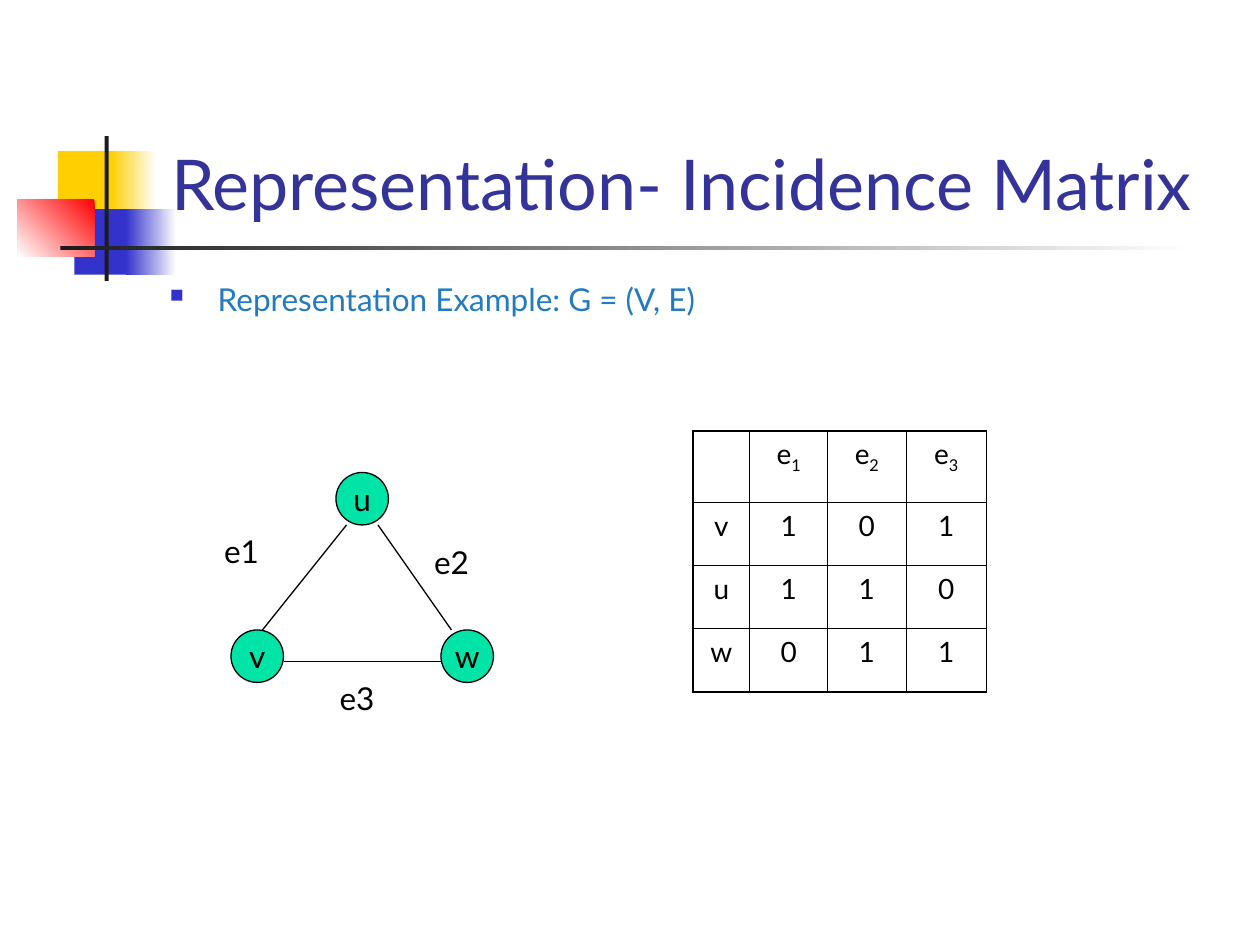
from dataclasses import dataclass

from lxml.etree import SubElement
from pptx import Presentation
from pptx.dml.color import RGBColor
from pptx.enum.shapes import MSO_CONNECTOR as Link, MSO_SHAPE as Shape
from pptx.enum.text import MSO_ANCHOR as Anchor, PP_ALIGN as Align
from pptx.oxml.ns import qn
from pptx.util import Emu, Inches, Pt


@dataclass(frozen=True)
class Theme:
    font: str = "Lato"
    white: str = "FFFFFF"
    black: str = "000000"
    yellow: str = "FFCF01"
    blue: str = "3333CC"
    red: str = "FF0000"
    bar: str = "1C1C1C"
    title: str = "333399"
    body: str = "237AC1"
    node: str = "00E4A8"
    title_size: float = 40
    text_size: float = 18
    cell_size: float = 16
    line: float = 0.75
    inner: float = 0.45
    outer: float = 1.08


theme = Theme()
color = RGBColor.from_string
deck = Presentation()
deck.slide_width, deck.slide_height = Inches(10), Inches(7.5)
page = deck.slides.add_slide(deck.slide_layouts[6])
unit = deck.slide_width / 120


def grid(*counts):
    return [Emu(round(count * unit)) for count in counts]


def write(para, text, size, tint, align=Align.LEFT):
    para.alignment = align
    span = para.add_run()
    span.text = text
    for name, value in {"name": theme.font, "size": Pt(size)}.items():
        setattr(span.font, name, value)
    span.font.color.rgb = color(tint)
    return span


ornaments = [
    ((5.52, 14.4, 5.76, 6.24), theme.yellow, None),
    ((10.56, 14.4, 4.32, 6.24), theme.yellow, 0),
    ((7.08, 19.92, 5.52, 6.24), theme.blue, None),
    ((12, 19.92, 4.8, 6.24), theme.blue, 0),
    ((1.68, 18.96, 7.32, 5.52), theme.red, 225),
    ((9.96, 12.96, 0.4, 13.8), theme.bar, None),
    ((5.76, 23.4, 108, 0.4), theme.bar, 0),
]
for area, tint, angle in ornaments:
    block = page.shapes.add_shape(Shape.RECTANGLE, *grid(*area))
    block.shadow.inherit = False
    block.line.fill.background()
    if angle is None:
        block.fill.solid()
        block.fill.fore_color.rgb = color(tint)
    else:
        block.fill.gradient()
        block.fill.gradient_angle = angle
        for stop, shade in zip(block.fill.gradient_stops, (tint, theme.white)):
            stop.color.rgb = color(shade)

texts = [
    ((15.12, 2.76, 102.24, 19.2), "Representation- Incidence Matrix",
     theme.title_size, theme.title, Anchor.BOTTOM),
    ((15, 26.04, 76.44, 8.04), "Representation Example: G = (V, E)",
     theme.text_size, theme.body, Anchor.TOP),
]
for area, text, size, tint, anchor in texts:
    box = page.shapes.add_textbox(*grid(*area))
    for name, value in {"word_wrap": True, "vertical_anchor": anchor}.items():
        setattr(box.text_frame, name, value)
    para = box.text_frame.paragraphs[0]
    if anchor == Anchor.TOP:
        layout = para._p.get_or_add_pPr()
        indent = Inches(0.38)
        layout.set("marL", str(indent))
        layout.set("indent", str(-indent))
        SubElement(SubElement(layout, qn("a:buClr")), qn("a:srgbClr"), val=theme.blue)
        SubElement(layout, qn("a:buSzPct"), val="60000")
        SubElement(layout, qn("a:buChar"), char="■")
    write(para, text, size, tint)

edges = [((36, 50), (43, 60)), ((27, 63), (42, 63)), ((33, 50), (25, 60))]
for start, end in edges:
    edge = page.shapes.add_connector(Link.STRAIGHT, *grid(*start, *end))
    edge.line.color.rgb = color(theme.black)
    edge.line.width = Pt(theme.line)
    SubElement(edge._element.spPr, qn("a:effectLst"))

node_style = (Shape.OVAL, (5, 5), theme.node, theme.black)
label_style = (Shape.RECTANGLE, (4, 3), theme.white, theme.white)
marks = [
    ("v", (22, 60), node_style),
    ("w", (42, 60), node_style),
    ("u", (32, 45), node_style),
    ("e1", (21, 51), label_style),
    ("e3", (32, 65), label_style),
    ("e2", (41, 52), label_style),
]
for text, corner, (outline, extent, tint, border) in marks:
    mark = page.shapes.add_shape(outline, *grid(*corner, *extent))
    mark.shadow.inherit = False
    mark.fill.solid()
    mark.fill.fore_color.rgb = color(tint)
    mark.line.color.rgb = color(border)
    mark.line.width = Pt(theme.line)
    for name, value in {"word_wrap": False, "vertical_anchor": Anchor.MIDDLE}.items():
        setattr(mark.text_frame, name, value)
    write(mark.text_frame.paragraphs[0], text, theme.text_size, theme.black, Align.CENTER)

matrix = [
    ["", "e1", "e2", "e3"],
    ["v", "1", "0", "1"],
    ["u", "1", "1", "0"],
    ["w", "0", "1", "1"],
]
widths, heights = (5.4, 7.44, 7.44, 7.68), (6.84, 6, 6, 6)
last = len(matrix) - 1
table = page.shapes.add_table(
    len(heights), len(widths), *grid(66, 41.04, sum(widths), sum(heights))
).table
for name in ("first_row", "horz_banding"):
    setattr(table, name, False)
for column, width in zip(table.columns, grid(*widths)):
    column.width = width
for row, height in zip(table.rows, grid(*heights)):
    row.height = height

for r, values in enumerate(matrix):
    for c, value in enumerate(values):
        cell = table.cell(r, c)
        sides = {"lnL": c == 0, "lnR": c == last, "lnT": r == 0, "lnB": r == last}
        for side, outside in sides.items():
            weight = Pt(theme.outer if outside else theme.inner)
            border = SubElement(cell._tc.get_or_add_tcPr(), qn(f"a:{side}"), w=str(weight))
            SubElement(SubElement(border, qn("a:solidFill")), qn("a:srgbClr"), val=theme.black)
        cell.fill.background()
        para = cell.text_frame.paragraphs[0]
        for part, text in enumerate((value[:1], value[1:])):
            if text:
                span = write(para, text, theme.cell_size, theme.black, Align.CENTER)
                if part:
                    span._r.get_or_add_rPr().set("baseline", "-25000")

deck.save("out.pptx")
